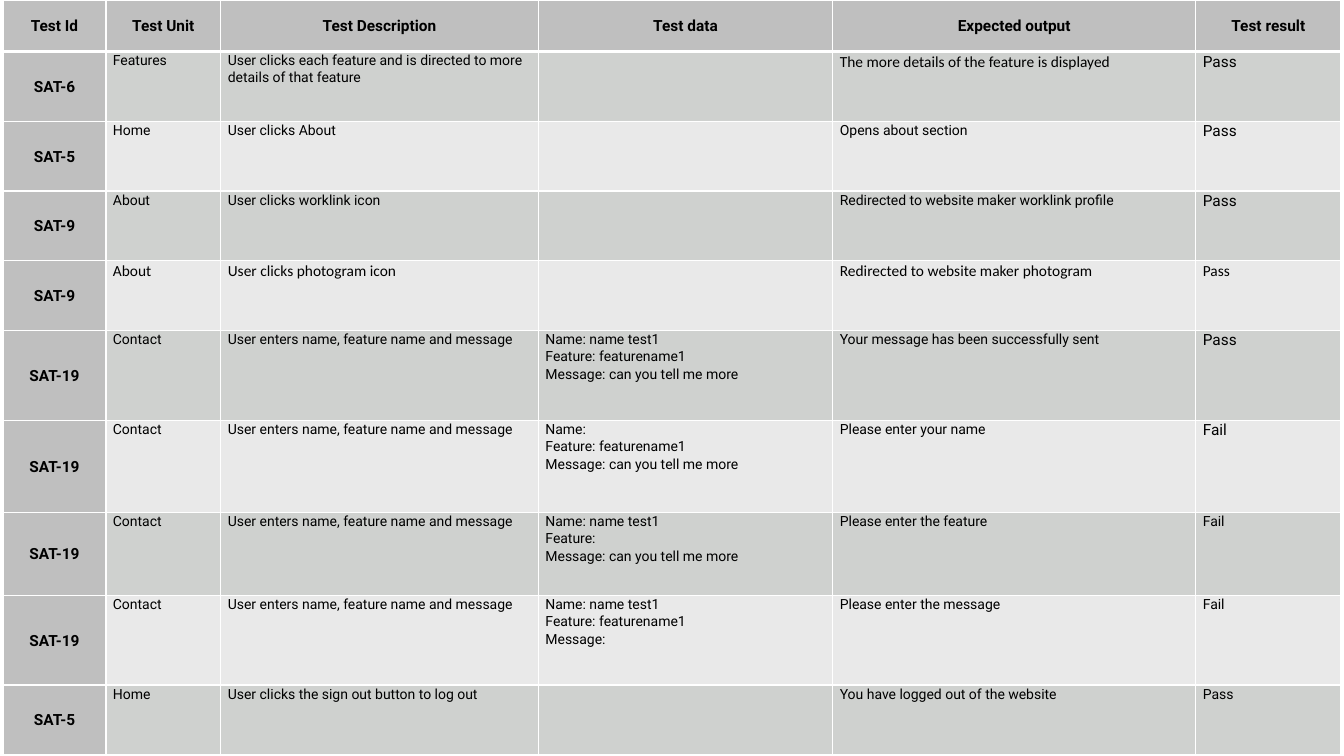
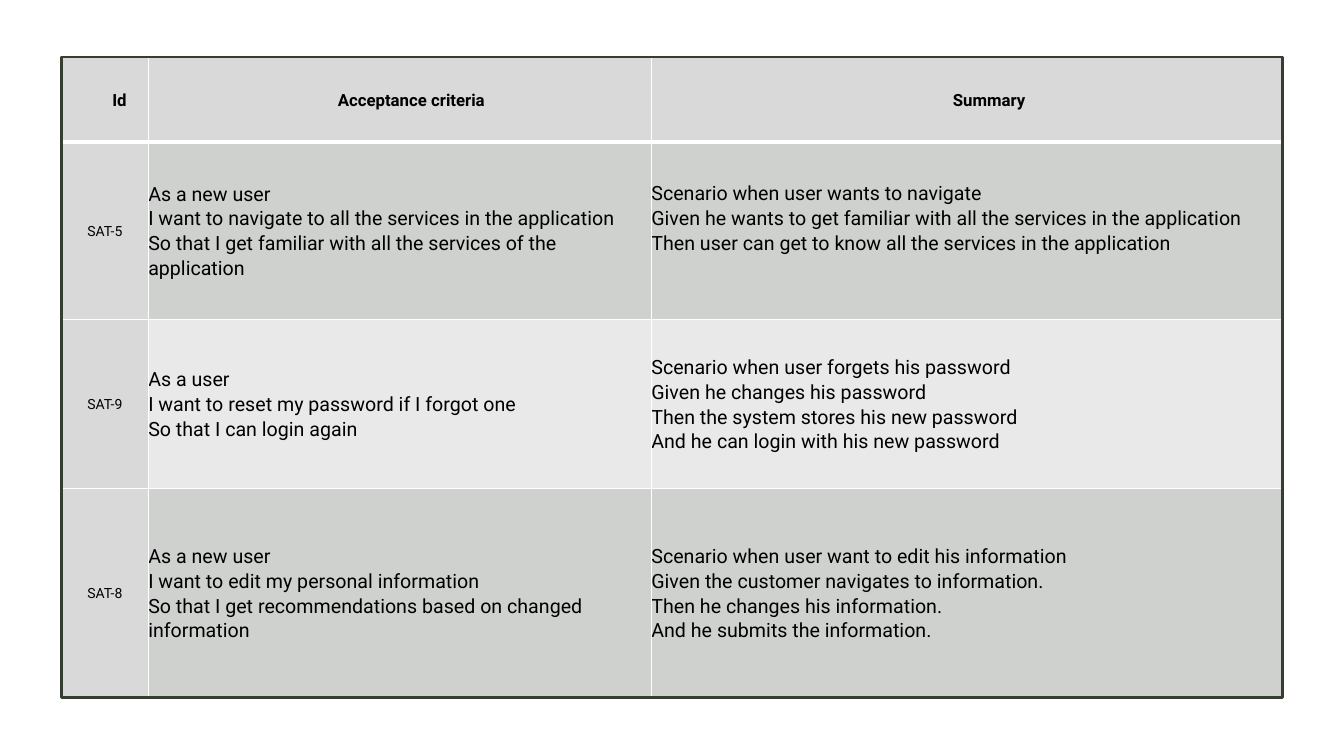
from dataclasses import dataclass, replace

import lxml.etree
import pptx
import pptx.dml.color
import pptx.enum.shapes
import pptx.enum.text
import pptx.oxml.ns
import pptx.util

Align = pptx.enum.text.PP_ALIGN
Anchor = pptx.enum.text.MSO_ANCHOR


@dataclass(frozen=True)
class Theme:
    text: str = "000000"
    rule: str = "FFFFFF"
    test_label: str = "BFBFBF"
    criteria_label: str = "D9D9D9"
    bands: tuple = ("CFD1CF", "E9E9E9")
    frame: str = "353E30"
    font: str = "Roboto"
    alternate_font: str = "Calibri"
    small: int = 10
    label: int = 11
    heading: int = 12
    story: int = 14
    line_spacing: float = 1.07
    thin_rule: int = 1
    thick_rule: int = 3
    frame_rule: float = 1.5


THEME = Theme()
SLIDE_WIDTH = pptx.util.Inches(13.33)
SLIDE_HEIGHT = pptx.util.Inches(7.5)


@dataclass(frozen=True)
class Style:
    size: int
    font: str = THEME.font
    bold: bool = False
    align: Align = Align.LEFT
    anchor: Anchor = Anchor.TOP
    left: float = 0
    right: float = 0
    bottom: float = 0


TEST_TEXT = Style(THEME.small, left=0.07, right=0.07)
TEST_LABEL = replace(TEST_TEXT, size=THEME.label, bold=True, align=Align.CENTER, anchor=Anchor.MIDDLE)
STORY_TEXT = Style(THEME.story, anchor=Anchor.MIDDLE)
STORY_LABEL = replace(STORY_TEXT, size=THEME.small, align=Align.CENTER)
STORY_HEADING = replace(STORY_LABEL, size=THEME.heading, bold=True)

TEST_HEADINGS = ("Test Id", "Test Unit", "Test Description", "Test data", "Expected output", "Test result")
MESSAGE_STEP = "User enters name, feature name and message"
TESTS = (
    ("SAT-6", "Features", "User clicks each feature and is directed to more details of that feature",
     "", "The more details of the feature is displayed", "Pass"),
    ("SAT-5", "Home", "User clicks About", "", "Opens about section", "Pass"),
    ("SAT-9", "About", "User clicks worklink icon", "", "Redirected to website maker worklink profile", "Pass"),
    ("SAT-9", "About", "User clicks photogram icon", "", "Redirected to website maker photogram", "Pass"),
    ("SAT-19", "Contact", MESSAGE_STEP,
     "Name: name test1\nFeature: featurename1\nMessage: can you tell me more",
     "Your message has been successfully sent", "Pass"),
    ("SAT-19", "Contact", MESSAGE_STEP,
     "Name:\nFeature: featurename1\nMessage: can you tell me more", "Please enter your name", "Fail"),
    ("SAT-19", "Contact", MESSAGE_STEP,
     "Name: name test1\nFeature:\nMessage: can you tell me more", "Please enter the feature", "Fail"),
    ("SAT-19", "Contact", MESSAGE_STEP,
     "Name: name test1\nFeature: featurename1\nMessage:", "Please enter the message", "Fail"),
    ("SAT-5", "Home", "User clicks the sign out button to log out", "", "You have logged out of the website", "Pass"),
)

STORY_HEADINGS = ("Id", "Acceptance criteria", "Summary")
HEADING_INDENTS = (0.29, 0.23, 0.44)
STORIES = (
    ("SAT-5",
     "As a new user\nI want to navigate to all the services in the application\n"
     "So that I get familiar with all the services of the application",
     "Scenario when user wants to navigate\n"
     "Given he wants to get familiar with all the services in the application\n"
     "Then user can get to know all the services in the application"),
    ("SAT-9",
     "As a user\nI want to reset my password if I forgot one\nSo that I can login again",
     "Scenario when user forgets his password\nGiven he changes his password\n"
     "Then the system stores his new password\nAnd he can login with his new password"),
    ("SAT-8",
     "As a new user\nI want to edit my personal information\n"
     "So that I get recommendations based on changed information",
     "Scenario when user want to edit his information\nGiven the customer navigates to information.\n"
     "Then he changes his information.\nAnd he submits the information."),
)


def color(value):
    return pptx.dml.color.RGBColor.from_string(value)


def slide_area(left, top, width, height):
    return (int(SLIDE_WIDTH * left / 100), int(SLIDE_HEIGHT * top / 100),
            int(SLIDE_WIDTH * width / 100), int(SLIDE_HEIGHT * height / 100))


def write_cell(cell, text, style):
    cell.margin_left = pptx.util.Inches(style.left)
    cell.margin_right = pptx.util.Inches(style.right)
    cell.margin_top = 0
    cell.margin_bottom = pptx.util.Inches(style.bottom)
    cell.vertical_anchor = style.anchor
    cell.text_frame.text = text
    for paragraph in cell.text_frame.paragraphs:
        paragraph.alignment = style.align
        paragraph.line_spacing = THEME.line_spacing
        paragraph.font.size = pptx.util.Pt(style.size)
        for run in paragraph.runs:
            run.font.size = pptx.util.Pt(style.size)
            run.font.name = style.font
            run.font.bold = style.bold
            run.font.color.rgb = color(THEME.text)


def rule_cell(cell, row):
    properties = cell._tc.get_or_add_tcPr()
    widths = {"lnL": THEME.thin_rule, "lnR": THEME.thin_rule,
              "lnT": THEME.thick_rule if row == 1 else THEME.thin_rule,
              "lnB": THEME.thick_rule if row == 0 else THEME.thin_rule}
    qn = pptx.oxml.ns.qn
    for position, (side, width) in enumerate(widths.items()):
        line = lxml.etree.Element(qn(f"a:{side}"), w=str(pptx.util.Pt(width)))
        fill = lxml.etree.SubElement(line, qn("a:solidFill"))
        lxml.etree.SubElement(fill, qn("a:srgbClr"), val=THEME.rule)
        properties.insert(position, line)


def add_grid(slide, area, columns, rows, content, label_fill, style_for):
    left, top, width, height = area
    table = slide.shapes.add_table(len(rows), len(columns), left, top, width, height).table
    table.first_row = False
    table.horz_banding = False
    for column, share in zip(table.columns, columns):
        column.width = int(width * share / sum(columns))
    for row, share in zip(table.rows, rows):
        row.height = int(height * share / sum(rows))
    for r, texts in enumerate(content):
        for c, text in enumerate(texts):
            cell = table.cell(r, c)
            write_cell(cell, text, style_for(r, c))
            cell.fill.solid()
            is_label = r == 0 or c == 0
            cell.fill.fore_color.rgb = color(label_fill if is_label else THEME.bands[(r - 1) % 2])
            rule_cell(cell, r)


def add_frame(slide, area):
    frame = slide.shapes.add_shape(pptx.enum.shapes.MSO_SHAPE.RECTANGLE, *area)
    frame.shadow.inherit = False
    frame.fill.background()
    frame.line.color.rgb = color(THEME.frame)
    frame.line.width = pptx.util.Pt(THEME.frame_rule)


def test_style(row, column):
    if row == 0 or column == 0:
        return TEST_LABEL
    if row == 4 or (row, column) == (1, 4):
        return replace(TEST_TEXT, size=THEME.label, font=THEME.alternate_font)
    if column == 5 and row <= 6:
        return replace(TEST_TEXT, size=THEME.label)
    return TEST_TEXT


def story_style(row, column):
    if row == 0:
        return replace(STORY_HEADING, left=HEADING_INDENTS[column])
    if column == 0:
        return STORY_LABEL
    if (row, column) == (1, 2):
        return replace(STORY_TEXT, bottom=0.25)
    return STORY_TEXT


def add_test_results(slide):
    add_grid(slide, slide_area(0.23, 0, 99.55, 99.87),
             (1.02, 1.14, 3.15, 2.92, 3.6, 1.44),
             (0.51, 0.69, 0.69, 0.69, 0.69, 0.89, 0.91, 0.82, 0.89, 0.69),
             (TEST_HEADINGS, *TESTS), THEME.test_label, test_style)


def add_acceptance_criteria(slide):
    area = slide_area(4.58, 7.6, 90.85, 84.67)
    add_grid(slide, area, (0.86, 4.99, 6.26), (0.84, 1.76, 1.68, 2.07),
             (STORY_HEADINGS, *STORIES), THEME.criteria_label, story_style)
    add_frame(slide, area)


def main():
    deck = pptx.Presentation()
    deck.slide_width = SLIDE_WIDTH
    deck.slide_height = SLIDE_HEIGHT
    blank = deck.slide_layouts[6]
    for build in (add_test_results, add_acceptance_criteria):
        build(deck.slides.add_slide(blank))
    deck.save("out.pptx")


if __name__ == "__main__":
    main()
